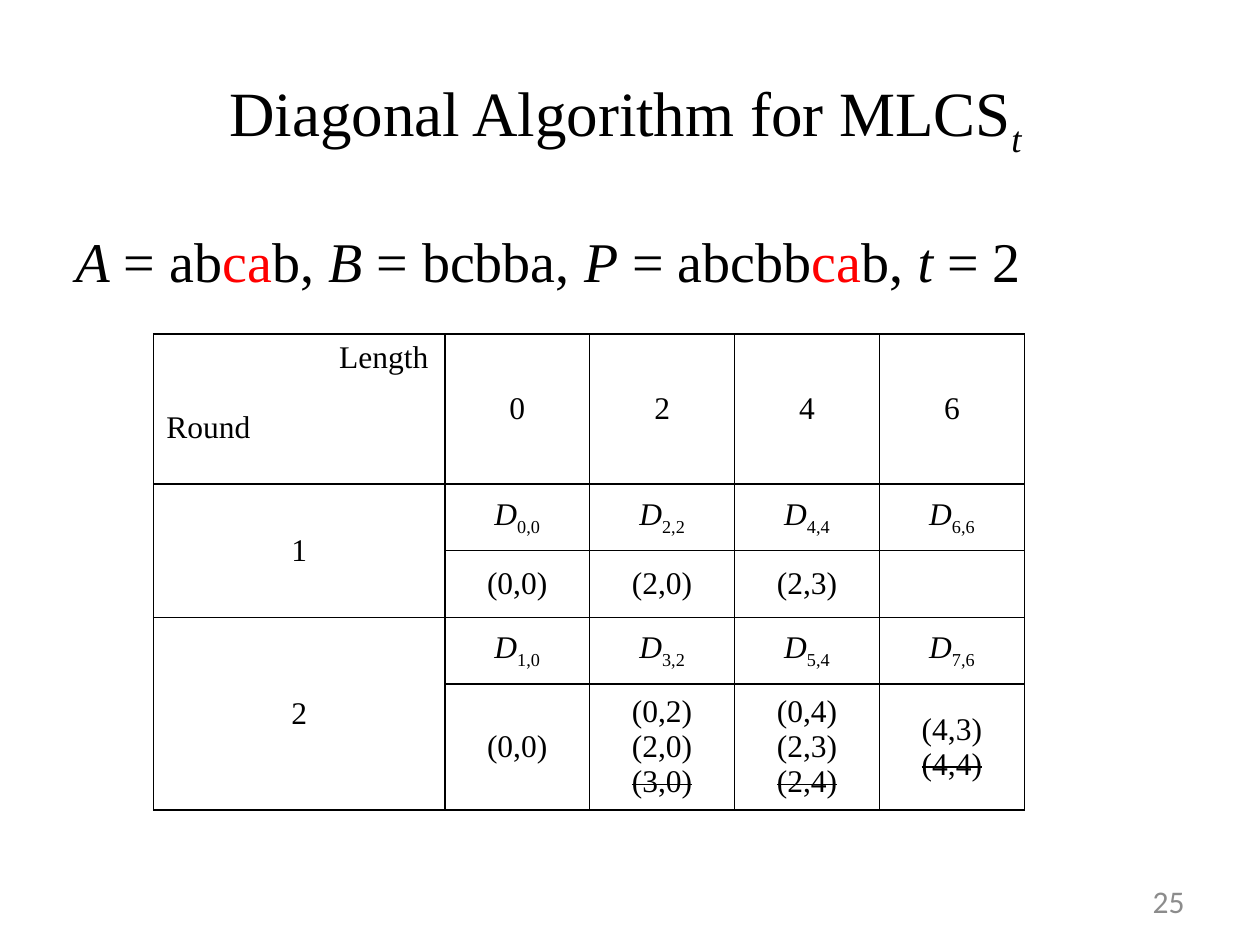
from lxml import etree
from pptx import Presentation
from pptx import util as u
from pptx.dml.color import RGBColor
from pptx.enum import text as t
from pptx.oxml import ns

BLACK, RED, GRAY, WHITE = "000000", "FF0000", "8C8C8C", "FFFFFF"
SERIF = "Times New Roman"
ITALIC, HIGHLIGHT = {"italic": True}, {"color": RED}
SUBSCRIPT, STRUCK = {"baseline": "-25000"}, {"strike": "sngStrike"}
LEFT, CENTER, RIGHT = t.PP_ALIGN.LEFT, t.PP_ALIGN.CENTER, t.PP_ALIGN.RIGHT
MIDDLE = t.MSO_ANCHOR.MIDDLE


def color(value):
    return RGBColor.from_string(value)


class SlideBuilder:
    def __init__(self, slide, font=SERIF, ink=BLACK, border=1):
        self.slide, self.font, self.ink, self.border = slide, font, ink, border

    def place(self, shape, *bounds):
        for name, value in zip(("left", "top", "width", "height"), bounds):
            setattr(shape, name, u.Inches(value))
        return shape.text_frame

    def add_spans(self, para, spans, size, align=CENTER, **look):
        """Fill a paragraph with (text, format) spans."""
        para.alignment = align
        for words, extra in spans:
            span = para.add_run()
            span.text = words
            style = {"name": self.font, "size": u.Pt(size), "italic": False,
                     "color": self.ink, **look, **extra}
            span.font.color.rgb = color(style.pop("color"))
            for name in ("baseline", "strike"):
                if name in style:
                    span._r.get_or_add_rPr().set(name, style.pop(name))
            for name, value in style.items():
                setattr(span.font, name, value)

    def title(self, spans, bounds):
        frame = self.place(self.slide.shapes.title, *bounds)
        frame.vertical_anchor = MIDDLE
        self.add_spans(frame.paragraphs[0], spans, 36)

    def body(self, spans, bounds):
        frame = self.place(self.slide.placeholders[1], *bounds)
        para = frame.paragraphs[0]
        props = para._p.get_or_add_pPr()
        props.set("marL", "0")
        props.set("indent", "0")
        etree.SubElement(props, ns.qn("a:buNone"))
        para.space_before = u.Pt(0)
        self.add_spans(para, spans, 32, LEFT)

    def page_number(self, number, bounds):
        box = self.slide.shapes.add_textbox(*map(u.Inches, bounds))
        frame = box.text_frame
        frame.word_wrap = True
        frame.vertical_anchor = MIDDLE
        self.add_spans(frame.paragraphs[0], [(number, {})], 18, RIGHT,
                       name="Calibri", color=GRAY)

    def table(self, left, top, widths, heights):
        frame = self.slide.shapes.add_table(
            len(heights), len(widths),
            *map(u.Inches, (left, top, sum(widths), sum(heights))))
        table = frame.table
        for column, width in zip(table.columns, widths):
            column.width = u.Inches(width)
        for row, height in zip(table.rows, heights):
            row.height = u.Inches(height)
        for cell in table.iter_cells():
            cell.fill.solid()
            cell.fill.fore_color.rgb = color(WHITE)
            cell.vertical_anchor = MIDDLE
            self.outline(cell)
        return table

    def outline(self, cell):
        props = cell._tc.get_or_add_tcPr()
        for place, side in enumerate(("lnL", "lnR", "lnT", "lnB")):
            line = etree.Element(ns.qn("a:" + side), w=str(u.Pt(self.border)))
            fill = etree.SubElement(line, ns.qn("a:solidFill"))
            etree.SubElement(fill, ns.qn("a:srgbClr"), val=self.ink)
            props.insert(place, line)

    def cell(self, cell, *lines):
        frame = cell.text_frame
        for index, spans in enumerate(lines):
            para = frame.add_paragraph() if index else frame.paragraphs[0]
            self.add_spans(para, spans, 18)


def main():
    deck = Presentation()
    deck.slide_width, deck.slide_height = u.Inches(10), u.Inches(7.5)
    page = SlideBuilder(deck.slides.add_slide(deck.slide_layouts[1]))

    # Title and the input strings
    page.title([("Diagonal Algorithm for MLCS", {}),
                ("t ", {**ITALIC, **SUBSCRIPT})], (0.5, 0.3, 9, 1.25))
    page.body([("A", ITALIC), (" = ab", {}), ("ca", HIGHLIGHT), ("b, ", {}),
               ("B", ITALIC), (" = bcbba, ", {}),
               ("P", ITALIC), (" = abcbb", {}), ("ca", HIGHLIGHT), ("b, ", {}),
               ("t", ITALIC), (" = 2", {})], (0.5, 1.75, 9, 4.95))
    page.page_number("25", (7.17, 6.95, 2.33, 0.4))

    # Table header
    table = page.table(1.22, 2.65, [2.31] + [1.15] * 4,
                       [1.19, 0.53, 0.53, 0.53, 0.93])
    corner = table.cell(0, 0)
    corner.vertical_anchor = t.MSO_ANCHOR.TOP
    corner.margin_right = u.Inches(0.13)
    page.cell(corner, [("Length", {})], [("Round", {})])
    length, round_label = corner.text_frame.paragraphs
    length.alignment, round_label.alignment = RIGHT, LEFT
    round_label.space_before = u.Pt(20)
    lengths = (0, 2, 4, 6)
    for column, value in enumerate(lengths, 1):
        page.cell(table.cell(0, column), [(str(value), {})])

    # Each round: diagonal names above, their points below (True = struck out)
    rounds = [
        [[("(0,0)", False)], [("(2,0)", False)], [("(2,3)", False)], []],
        [[("(0,0)", False)],
         [("(0,2)", False), ("(2,0)", False), ("(3,0)", True)],
         [("(0,4)", False), ("(2,3)", False), ("(2,4)", True)],
         [("(4,3)", False), ("(4,4)", True)]],
    ]
    for index, points in enumerate(rounds):
        row = 1 + 2 * index
        label = table.cell(row, 0)
        label.merge(table.cell(row + 1, 0))
        page.cell(label, [(str(index + 1), {})])
        for column, (value, pairs) in enumerate(zip(lengths, points), 1):
            page.cell(table.cell(row, column),
                      [("D", ITALIC), (f"{value + index},{value}", SUBSCRIPT)])
            page.cell(table.cell(row + 1, column),
                      *[[(pair, STRUCK if struck else {})] for pair, struck in pairs])

    deck.save("out.pptx")


if __name__ == "__main__":
    main()
